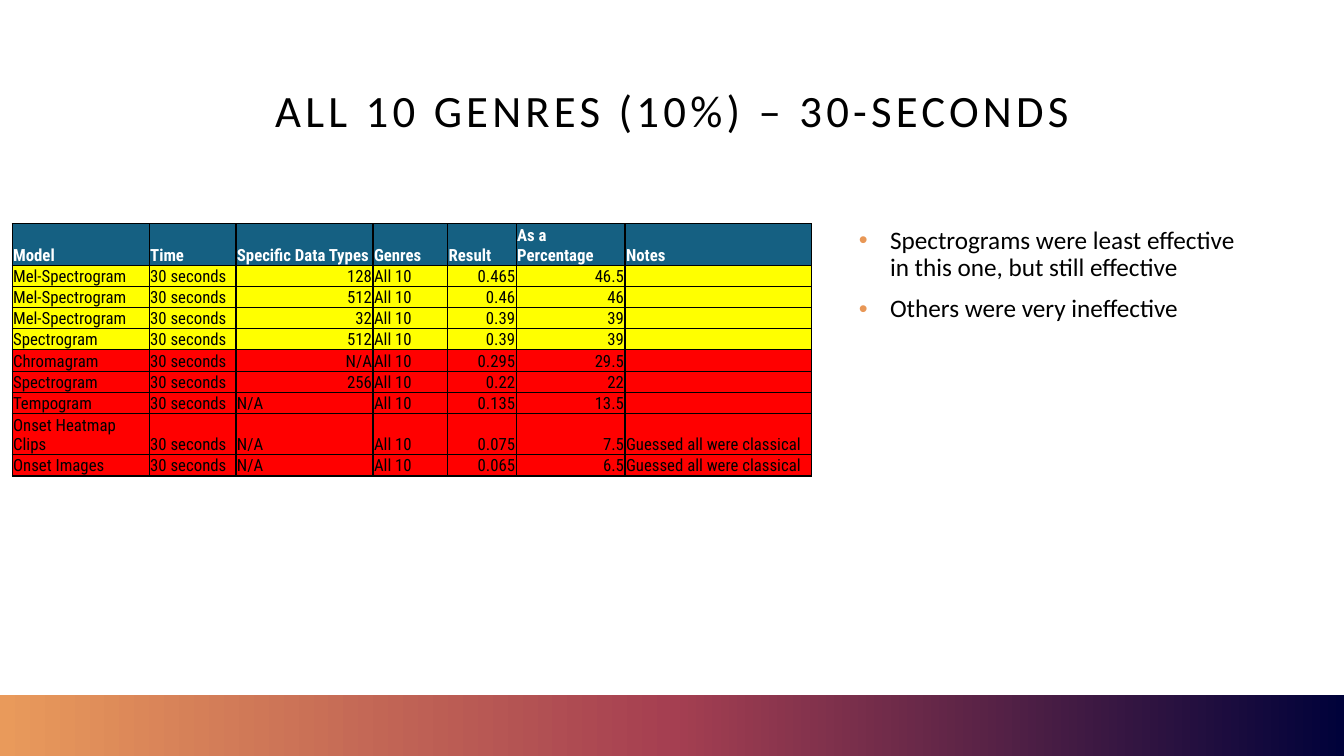
from copy import deepcopy

from lxml import etree
from pptx import Presentation, util as u
from pptx.dml.color import RGBColor
from pptx.enum import shapes, text
from pptx.oxml import parse_xml
from pptx.oxml.ns import nsdecls, qn


def colour(value):
    return RGBColor.from_string(value)


def style(font, size, name, value, bold=False):
    font.size, font.name, font.bold = u.Pt(size), name, bold
    font.color.rgb = colour(value)


presentation = Presentation()
presentation.slide_width, presentation.slide_height = u.Inches(13.33), u.Inches(7.5)
slide = presentation.slides.add_slide(presentation.slide_layouts[5])

# Title
title = slide.shapes.title
title.left, title.top = u.Inches(0.92), u.Inches(0.4)
title.width, title.height = u.Inches(11.5), u.Inches(1.45)
frame = title.text_frame
frame.text = "ALL 10 GENRES (10%) – 30-SECONDS"
frame.auto_size = text.MSO_AUTO_SIZE.NONE
frame.vertical_anchor = text.MSO_ANCHOR.MIDDLE
paragraph = frame.paragraphs[0]
paragraph.alignment = text.PP_ALIGN.CENTER
paragraph.line_spacing = 0.9
style(paragraph.runs[0].font, 32, "Calibri", "000000")
paragraph.runs[0].font._element.set("spc", "300")

# Remarks beside the table
remarks = slide.shapes.add_textbox(u.Inches(8.42), u.Inches(2.21), u.Inches(4), u.Inches(4.52))
frame = remarks.text_frame
frame.word_wrap = True
frame.text = ("Spectrograms were least effective in this one, but still effective\n"
              "Others were very ineffective")
for index, paragraph in enumerate(frame.paragraphs):
    paragraph.line_spacing = 0.9
    paragraph.space_before = u.Pt(10 if index else 0)
    properties = paragraph._p.get_or_add_pPr()
    properties.set("marL", str(u.Inches(0.31)))
    properties.set("indent", str(-u.Inches(0.31)))
    bullet_colour = etree.SubElement(properties, qn("a:buClr"))
    etree.SubElement(bullet_colour, qn("a:srgbClr"), val="E89756")
    etree.SubElement(properties, qn("a:buFont"), typeface="Arial")
    etree.SubElement(properties, qn("a:buChar"), char="•")
    style(paragraph.runs[0].font, 18, "Calibri", "000000")

# Gradient band along the bottom
band = slide.shapes.add_shape(shapes.MSO_SHAPE.RECTANGLE, 0, u.Inches(6.89),
                              u.Inches(13.33), u.Inches(0.61))
band.shadow.inherit = False
band.line.fill.background()
band.fill.gradient()
band.fill.gradient_angle = 180
stop_list = band._element.spPr.find(".//" + qn("a:gsLst"))
stop_list.insert(1, deepcopy(stop_list[0]))
for stop, position, value in zip(band.fill.gradient_stops, (0, 0.5, 1),
                                 ("00023A", "A53F51", "E99A5B")):
    stop.position = position
    stop.color.rgb = colour(value)

# Results: model, specific data type, result, notes
results = [
    ("Mel-Spectrogram", "128", 0.465, ""),
    ("Mel-Spectrogram", "512", 0.46, ""),
    ("Mel-Spectrogram", "32", 0.39, ""),
    ("Spectrogram", "512", 0.39, ""),
    ("Chromagram", "N/A", 0.295, ""),
    ("Spectrogram", "256", 0.22, ""),
    ("Tempogram", "N/A", 0.135, ""),
    ("Onset Heatmap Clips", "N/A", 0.075, "Guessed all were classical"),
    ("Onset Images", "N/A", 0.065, "Guessed all were classical"),
]
rows = [("Model", "Time", "Specific Data Types", "Genres", "Result", "As a Percentage", "Notes")]
for model, data_type, result, notes in results:
    rows.append((model, "30 seconds", data_type, "All 10", str(result),
                 f"{result * 100:g}", notes))
widths = [1.36, 0.86, 1.36, 0.74, 0.68, 1.08, 1.85]

# Table
table = slide.shapes.add_table(len(rows), len(widths), u.Inches(0.12), u.Inches(2.22),
                               u.Inches(7.93), u.Inches(2.49)).table
table.first_row = table.horz_banding = False
for column, width in zip(table.columns, widths):
    column.width = u.Inches(width)
for row_index, row in enumerate(rows):
    header = row_index == 0
    two_lines = row[0] == "Onset Heatmap Clips"
    table.rows[row_index].height = u.Inches(0.35 if two_lines else 0.18)
    row_fill = "156082" if header else "FFFF00" if row_index <= 4 else "FF0000"
    for column_index, value in enumerate(row):
        cell = table.cell(row_index, column_index)
        cell.margin_left = cell.margin_right = cell.margin_top = u.Inches(0.01)
        cell.margin_bottom = 0
        cell.vertical_anchor = text.MSO_ANCHOR.BOTTOM
        for side in ("lnL", "lnR", "lnT", "lnB"):
            cell._tc.get_or_add_tcPr().append(parse_xml(
                f'<a:{side} {nsdecls("a")} w="12700"><a:solidFill>'
                f'<a:srgbClr val="000000"/></a:solidFill></a:{side}>'))
        cell.fill.solid()
        cell.fill.fore_color.rgb = colour(row_fill)
        paragraph = cell.text_frame.paragraphs[0]
        if not value:
            etree.SubElement(paragraph._p, qn("a:endParaRPr"), sz="1200")
            continue
        paragraph.text = value
        style(paragraph.runs[0].font, 12, "Roboto Condensed",
              "FFFFFF" if header else "000000", header)
        numeric = column_index in (4, 5) or column_index == 2 and row_index <= 6
        if numeric and not header:
            paragraph.alignment = text.PP_ALIGN.RIGHT

presentation.save("out.pptx")
